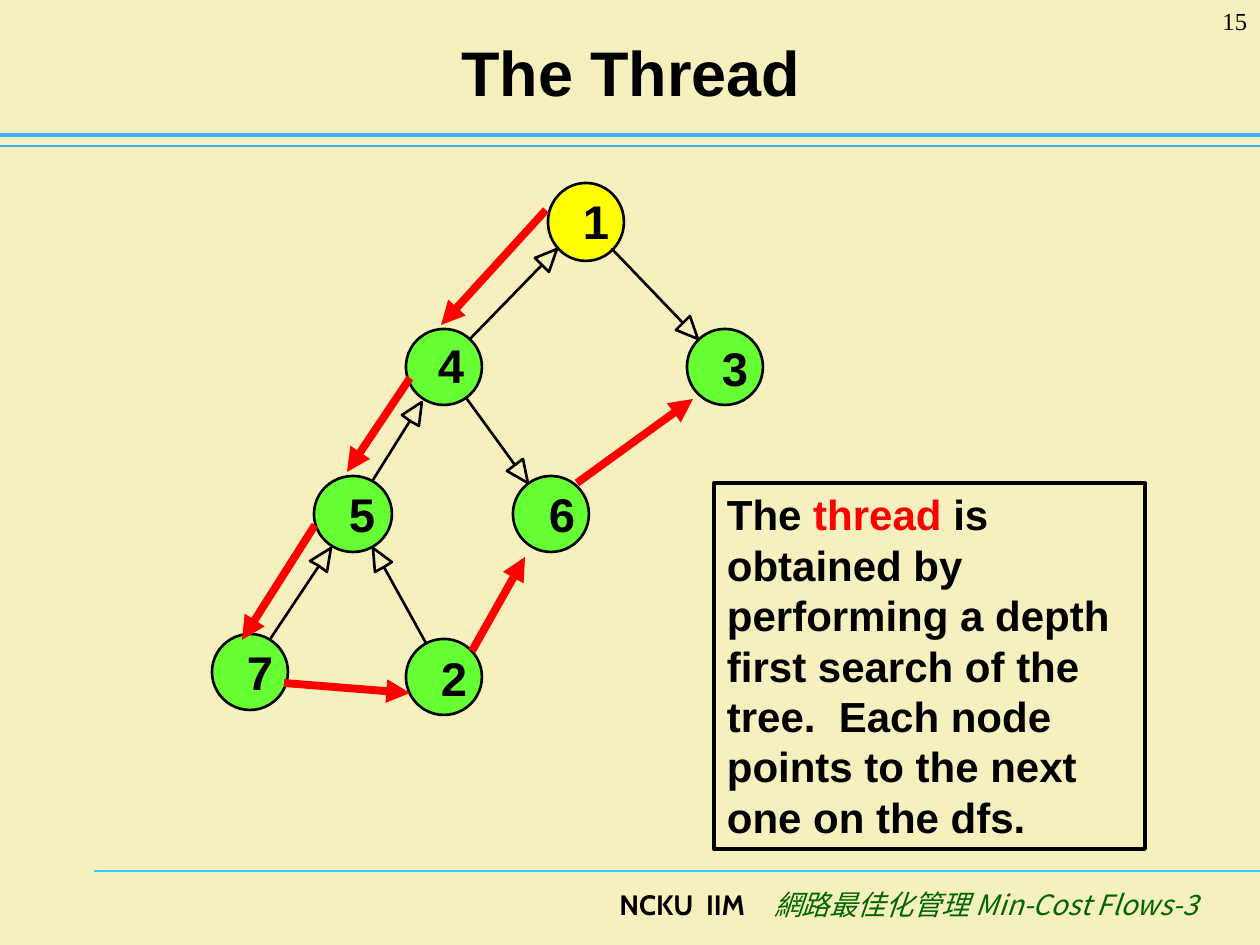
from dataclasses import dataclass
from math import hypot
from typing import NamedTuple

from lxml.etree import SubElement
from pptx import Presentation
from pptx.dml.color import RGBColor
from pptx.enum.shapes import MSO_CONNECTOR as Connector, MSO_SHAPE as Preset
from pptx.enum.text import MSO_ANCHOR as Anchor, PP_ALIGN as Align
from pptx.oxml.ns import qn
from pptx.util import Pt

PX = 914400 / 126


@dataclass(frozen=True)
class Theme:
    background: str = "F5F0BD"
    ink: str = "000000"
    red: str = "FF0000"
    root: str = "FFFF00"
    node: str = "66FF33"
    rule: str = "3DB0FF"
    footer_rule: str = "33CCFF"
    footer: str = "006600"
    sans: str = "Arial"
    title_size: int = 36
    node_size: int = 27
    note_size: int = 24
    footer_size: int = 16
    page_size: int = 14


THEME = Theme()


class Box(NamedTuple):
    x: int
    y: int
    w: int
    h: int


class Node(NamedTuple):
    label: str
    box: Box
    fill: str = THEME.node
    label_dx: int = 35
    label_dy: int = 9


class Arc(NamedTuple):
    x1: int
    y1: int
    x2: int
    y2: int


class Words(NamedTuple):
    text: str
    size: int
    color: str = THEME.ink
    font: str = THEME.sans
    bold: bool = True
    italic: bool = False
    spacing: int = 0


NODES = [
    Node("1", Box(548, 183, 76, 78), THEME.root),
    Node("5", Box(314, 476, 78, 76)),
    Node("6", Box(513, 476, 76, 76), label_dx=36),
    Node("7", Box(212, 634, 76, 76)),
    Node("2", Box(406, 639, 76, 76), label_dy=10),
    Node("4", Box(406, 329, 76, 76), label_dx=32, label_dy=7),
    Node("3", Box(687, 329, 76, 76), label_dy=10),
]
TREE_ARCS = [
    Arc(470, 339, 557, 249), Arc(373, 480, 422, 402), Arc(271, 638, 331, 548),
    Arc(426, 643, 373, 548), Arc(467, 399, 528, 483), Arc(612, 249, 698, 339),
]
THREAD = [
    Arc(546, 210, 441, 325), Arc(410, 378, 347, 472), Arc(315, 525, 242, 640),
    Arc(284, 683, 410, 693), Arc(472, 651, 525, 557), Arc(577, 483, 693, 399),
]
RULES = [
    (Arc(94, 871, 1260, 871), THEME.footer_rule, 0.75),
    (Arc(0, 146, 1260, 146), THEME.rule, 0.75),
    (Arc(0, 135, 1260, 135), THEME.rule, 2.5),
]


def emu(*lengths: int) -> list[int]:
    return [round(length * PX) for length in lengths]


def rgb(color: str) -> RGBColor:
    return RGBColor.from_string(color)


def outline(shape, color: str, width: float) -> None:
    shape.line.color.rgb = rgb(color)
    shape.line.width = Pt(width)


def write(frame, words: list[Words], align=Align.LEFT, anchor=Anchor.TOP,
          wrap: bool = True, margins: tuple[int, int] = (13, 6)) -> None:
    """Fill a text frame with one paragraph; margins are side and top."""
    side, top = emu(*margins)
    settings = dict(margin_left=side, margin_right=side, margin_top=top,
                    margin_bottom=top, word_wrap=wrap, vertical_anchor=anchor)
    for name, value in settings.items():
        setattr(frame, name, value)
    paragraph = frame.paragraphs[0]
    paragraph.alignment = align
    for part in words:
        run = paragraph.add_run()
        run.text = part.text
        run.font.color.rgb = rgb(part.color)
        style = dict(name=part.font, size=Pt(part.size), bold=part.bold, italic=part.italic)
        for name, value in style.items():
            setattr(run.font, name, value)
        properties = run.font._element
        SubElement(properties, qn("a:ea")).set("typeface", part.font)
        if part.spacing:
            properties.set("spc", str(part.spacing * 100))


def add_text(slide, box: Box, words: list[Words], **layout) -> None:
    write(slide.shapes.add_textbox(*emu(*box)).text_frame, words, **layout)


def add_line(slide, arc: Arc, color: str, width: float, arrow: bool = False) -> None:
    line = slide.shapes.add_connector(Connector.STRAIGHT, *emu(*arc))
    outline(line, color, width)
    if arrow:
        SubElement(line.line._get_or_add_ln(), qn("a:tailEnd")).set("type", "triangle")
    SubElement(line._element.spPr, qn("a:effectLst"))


def add_node(slide, node: Node) -> None:
    circle = slide.shapes.add_shape(Preset.OVAL, *emu(*node.box))
    circle.shadow.inherit = False
    circle.fill.solid()
    circle.fill.fore_color.rgb = rgb(node.fill)
    outline(circle, THEME.ink, 1.5)
    label = Box(node.box.x + node.label_dx, node.box.y + node.label_dy, 26, 57)
    add_text(slide, label, [Words(node.label, THEME.node_size)], wrap=False, margins=(0, 0))


def add_tree_arc(slide, arc: Arc, head: int = 22, half_width: int = 10) -> None:
    """Draw a thin shaft with a hollow head as one outline."""
    start, tip = (arc.x1, arc.y1), (arc.x2, arc.y2)
    dx, dy = tip[0] - start[0], tip[1] - start[1]
    length = hypot(dx, dy)
    ux, uy = dx / length, dy / length
    neck = (tip[0] - head * ux, tip[1] - head * uy)
    wings = [(neck[0] - side * uy, neck[1] + side * ux) for side in (half_width, -half_width)]
    builder = slide.shapes.build_freeform(*start, scale=PX)
    builder.add_line_segments([neck, wings[0], tip, wings[1], neck], close=True)
    arrow = builder.convert_to_shape()
    arrow.shadow.inherit = False
    arrow.fill.background()
    outline(arrow, THEME.ink, 1.5)


def add_note(slide) -> None:
    note = slide.shapes.add_shape(Preset.RECTANGLE, *emu(714, 483, 431, 366))
    note.shadow.inherit = False
    note.fill.background()
    outline(note, THEME.ink, 2.25)
    size = THEME.note_size
    write(note.text_frame, [
        Words("The ", size),
        Words("thread", size, THEME.red),
        Words(" is obtained by performing a depth first search of the tree.  "
              "Each node points to the next one on the dfs.", size),
    ])


def main() -> None:
    deck = Presentation()
    deck.slide_width, deck.slide_height = emu(1260, 945)
    slide = deck.slides.add_slide(deck.slide_layouts[6])
    slide.background.fill.solid()
    slide.background.fill.fore_color.rgb = rgb(THEME.background)

    for arc, color, width in RULES:
        add_line(slide, arc, color, width)
    size = THEME.footer_size
    add_text(slide, Box(231, 882, 980, 63), [
        Words("NCKU  IIM", size, font="Cabin"),
        Words(" ", size, font="Cabin", spacing=13),
        Words("網路最佳化管理 Min-Cost Flows-3", size, THEME.footer, "Noto Sans CJK SC",
              bold=False, italic=True),
    ], align=Align.RIGHT)
    add_text(slide, Box(64, 16, 1134, 110), [Words("The Thread", THEME.title_size)],
             align=Align.CENTER, anchor=Anchor.MIDDLE)

    for node in NODES:
        add_node(slide, node)
    for arc in TREE_ARCS:
        add_tree_arc(slide, arc)
    add_note(slide)
    for arc in THREAD:
        add_line(slide, arc, THEME.red, 4.5, arrow=True)
    add_text(slide, Box(1155, 0, 105, 63),
             [Words("15", THEME.page_size, font="Times New Roman", bold=False)],
             align=Align.RIGHT)
    deck.save("out.pptx")


if __name__ == "__main__":
    main()
